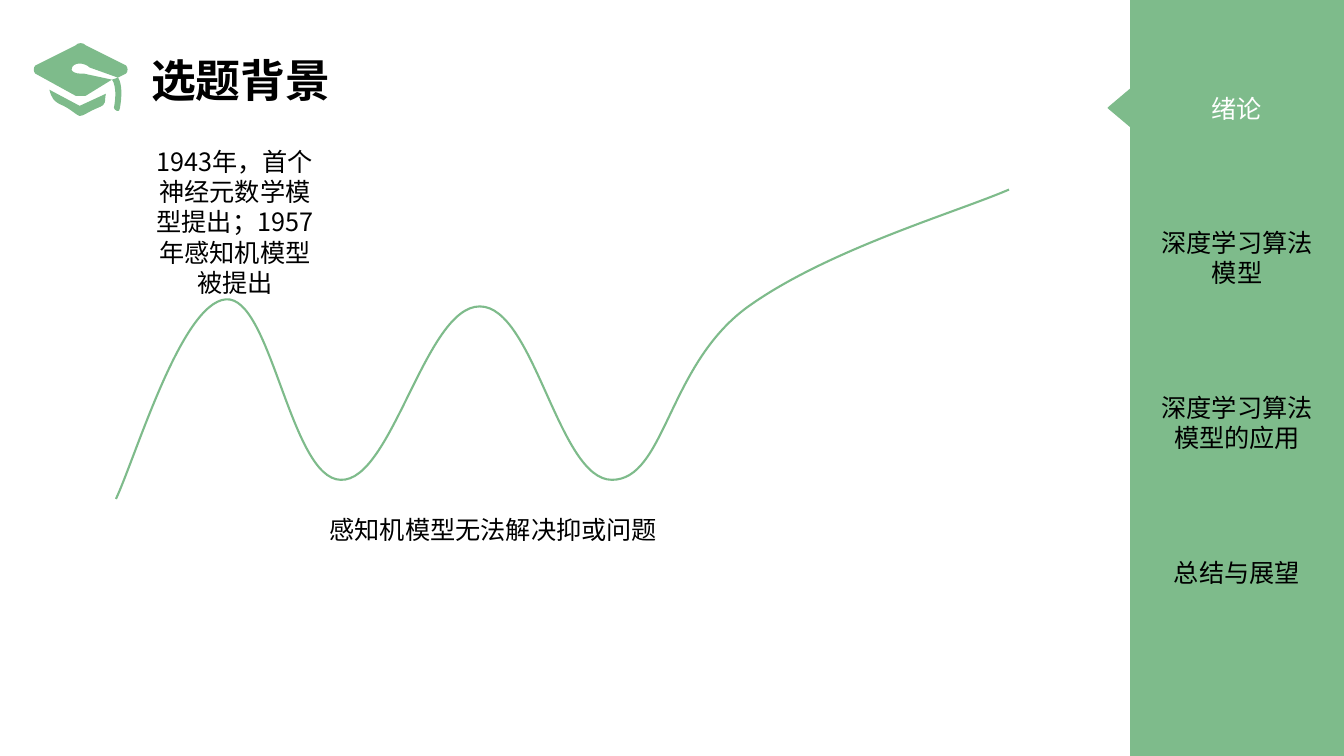
from dataclasses import dataclass
from typing import Optional

import pptx
import pptx.dml.color
import pptx.enum.shapes
import pptx.enum.text
import pptx.oxml
import pptx.oxml.ns
import pptx.util

Align = pptx.enum.text.PP_ALIGN
Preset = pptx.enum.shapes.MSO_SHAPE
Color = pptx.dml.color.RGBColor


@dataclass(frozen=True)
class Theme:
    green: Color = Color.from_string("7EBB8B")
    black: Color = Color.from_string("000000")
    white: Color = Color.from_string("FFFFFF")
    title_size: int = 32
    body_size: int = 18
    latin_font: str = "Calibri"
    chinese_font: str = "Noto Sans CJK SC"
    border_width: float = 1
    curve_width: float = 1.5


@dataclass(frozen=True)
class Area:
    """A place on the slide, in percent of its width and height."""
    left: float
    top: float
    width: float
    height: float


@dataclass(frozen=True)
class Chapter:
    lines: tuple[str, ...]
    current: bool = False


Step = tuple[float, ...]  # a point, or two handles and a point
Contour = list[Step]

THEME = Theme()
SLIDE = Area(0, 0, 100, 100)
SIDEBAR = Area(84.1, 0, 15.9, 100)
CHAPTERS = [
    Chapter(("绪论",), current=True),
    Chapter(("深度学习算法", "模型")),
    Chapter(("深度学习算法", "模型的应用")),
    Chapter(("总结与展望",)),
]
CHAPTER_TOP, CHAPTER_GAP = 11.63, 12.4
LINE_HEIGHT, TEXT_PADDING = 4.13, 1.2
CHARACTER_WIDTH, SIDE_PADDING = 1.88, 1.5

# Graduation cap, in cells of its own small grid
CAP = Area(2.48, 5.47, 7.05, 9.87)
CAP_COLUMNS, CAP_ROWS = 47, 37
CAP_BASE: Contour = [
    (8, 24), (9, 28, 10, 30, 15, 32), (19, 34, 22, 37, 23, 37),
    (25, 37, 27, 35, 32, 33), (37, 31, 35, 30, 36, 26), (23, 32),
]
CAP_BOARD: Contour = [
    (46, 12), (26, 2), (25, 0.5, 22, 0.5, 21, 2), (1, 12),
    (0, 13, 0, 15, 1, 16), (21, 27), (26, 27), (39, 19), (25, 16), (23, 16),
    (21, 16, 19, 15, 19, 14), (19, 12, 21, 11, 23, 11),
    (25, 11, 27, 12, 28, 13), (42, 18), (46, 16), (47, 15, 47, 13, 46, 12),
]
CAP_TASSEL: Contour = [
    (40, 33), (40, 34, 43, 36, 43, 33), (45, 21, 42, 18, 42, 18),
    (39, 19), (39, 19, 42, 22, 40, 33),
]

# Rise and fall of the field, in percent of the slide
HISTORY: Contour = [
    (8.63, 66), (10.13, 60.27, 13.5, 40.13, 16.8, 39.6),
    (20.18, 39.07, 21.6, 63.33, 25.35, 63.47),
    (29.18, 63.73, 31.65, 40.53, 35.7, 40.53),
    (39.75, 40.53, 41.55, 63.47, 45.53, 63.47),
    (49.5, 63.47, 49.65, 48.4, 55.58, 40.67),
    (61.5, 33.07, 71.1, 28.13, 75.08, 25.07),
]

deck = pptx.Presentation()
deck.slide_width = pptx.util.Inches(13.333)
deck.slide_height = pptx.util.Inches(7.5)
page = deck.slides.add_slide(deck.slide_layouts[6])


def across(share: float) -> int:
    return round(deck.slide_width * share / 100)


def down(share: float) -> int:
    return round(deck.slide_height * share / 100)


def place(area: Area) -> tuple[int, int, int, int]:
    return across(area.left), down(area.top), across(area.width), down(area.height)


def paint(shape, *, fill: Optional[Color] = None, line: Optional[Color] = None,
          width: float = THEME.border_width) -> None:
    shape.shadow.inherit = False
    if fill is None:
        shape.fill.background()
    else:
        shape.fill.solid()
        shape.fill.fore_color.rgb = fill
    if line is None:
        shape.line.fill.background()
    else:
        shape.line.color.rgb = line
        shape.line.width = pptx.util.Pt(width)


def add_text(area: Area, *lines: str, size: int = THEME.body_size,
             color: Color = THEME.black, font: str = THEME.latin_font,
             bold: bool = False, align: Align = Align.LEFT, wrap: bool = False) -> None:
    box = page.shapes.add_textbox(*place(area))
    frame = box.text_frame
    frame.word_wrap = wrap
    frame.auto_size = pptx.enum.text.MSO_AUTO_SIZE.SHAPE_TO_FIT_TEXT
    for number, line in enumerate(lines):
        para = frame.add_paragraph() if number else frame.paragraphs[0]
        para.alignment = align
        span = para.add_run()
        span.text = line
        span.font.size = pptx.util.Pt(size)
        span.font.bold = bold
        span.font.color.rgb = color
        span.font.name = font
        # Chinese characters take their font from a separate element
        latin = span.font._element.find(pptx.oxml.ns.qn("a:latin"))
        latin.addnext(pptx.oxml.parse_xml(
            f'<a:ea {pptx.oxml.ns.nsdecls("a")} typeface="{THEME.chinese_font}"/>'))


def add_outline(*contours: Contour, area: Area = SLIDE, columns: int = 100,
                rows: int = 100, close: bool = False):
    """Draw contours given in cells of a grid laid over the area."""
    builder = None
    for contour in contours:
        points = [(across(area.left + x * area.width / columns),
                   down(area.top + y * area.height / rows))
                  for step in contour for x, y in zip(step[::2], step[1::2])]
        if builder is None:
            builder = page.shapes.build_freeform(*points[0])
        else:
            builder.move_to(*points[0])
        builder.add_line_segments(points[1:], close=close)
    shape = builder.convert_to_shape()

    # Join each pair of handles and its end point into one cubic curve
    segments = shape._element.iter(pptx.oxml.ns.qn("a:lnTo"))
    remaining = iter(list(segments))
    for step in (step for contour in contours for step in contour[1:]):
        segment = next(remaining)
        if len(step) == 6:
            curve = pptx.oxml.parse_xml(
                f'<a:cubicBezTo {pptx.oxml.ns.nsdecls("a")}/>')
            segment.addprevious(curve)
            for part in (segment, next(remaining), next(remaining)):
                curve.append(part[0])
                part.getparent().remove(part)
    return shape


# Heading
cap = add_outline(CAP_BASE, CAP_BOARD, CAP_TASSEL, area=CAP,
                  columns=CAP_COLUMNS, rows=CAP_ROWS, close=True)
paint(cap, fill=THEME.green)
add_text(Area(10.5, 6.27, 14.85, 8.53), "选题背景", size=THEME.title_size, bold=True)

# Sidebar with the chapters at equal gaps
sidebar = page.shapes.add_shape(Preset.RECTANGLE, *place(SIDEBAR))
paint(sidebar, fill=THEME.green, line=THEME.green)
top = CHAPTER_TOP
for chapter in CHAPTERS:
    width = max(map(len, chapter.lines)) * CHARACTER_WIDTH + SIDE_PADDING
    height = len(chapter.lines) * LINE_HEIGHT + TEXT_PADDING
    left = SIDEBAR.left + (SIDEBAR.width - width) / 2
    add_text(Area(left, top, width, height), *chapter.lines,
             color=THEME.white if chapter.current else THEME.black,
             align=Align.CENTER if len(chapter.lines) > 1 else Align.LEFT)
    top += height + CHAPTER_GAP

# Pointer at the current chapter
pointer = page.shapes.add_shape(
    Preset.ISOSCELES_TRIANGLE, *place(Area(81.9, 12.8, 2.78, 2.93)))
pointer.rotation = 270
paint(pointer, fill=THEME.green, line=THEME.green)

# History curve and its notes
paint(add_outline(HISTORY), line=THEME.green, width=THEME.curve_width)
add_text(Area(10.5, 18.7, 13.95, 21.47),
         "1943年，首个神经元数学模型提出；1957年感知机模型被提出",
         font=THEME.chinese_font, align=Align.CENTER, wrap=True)
add_text(Area(23.78, 67.33, 25.88, 5.33), "感知机模型无法解决抑或问题")

deck.save("out.pptx")
